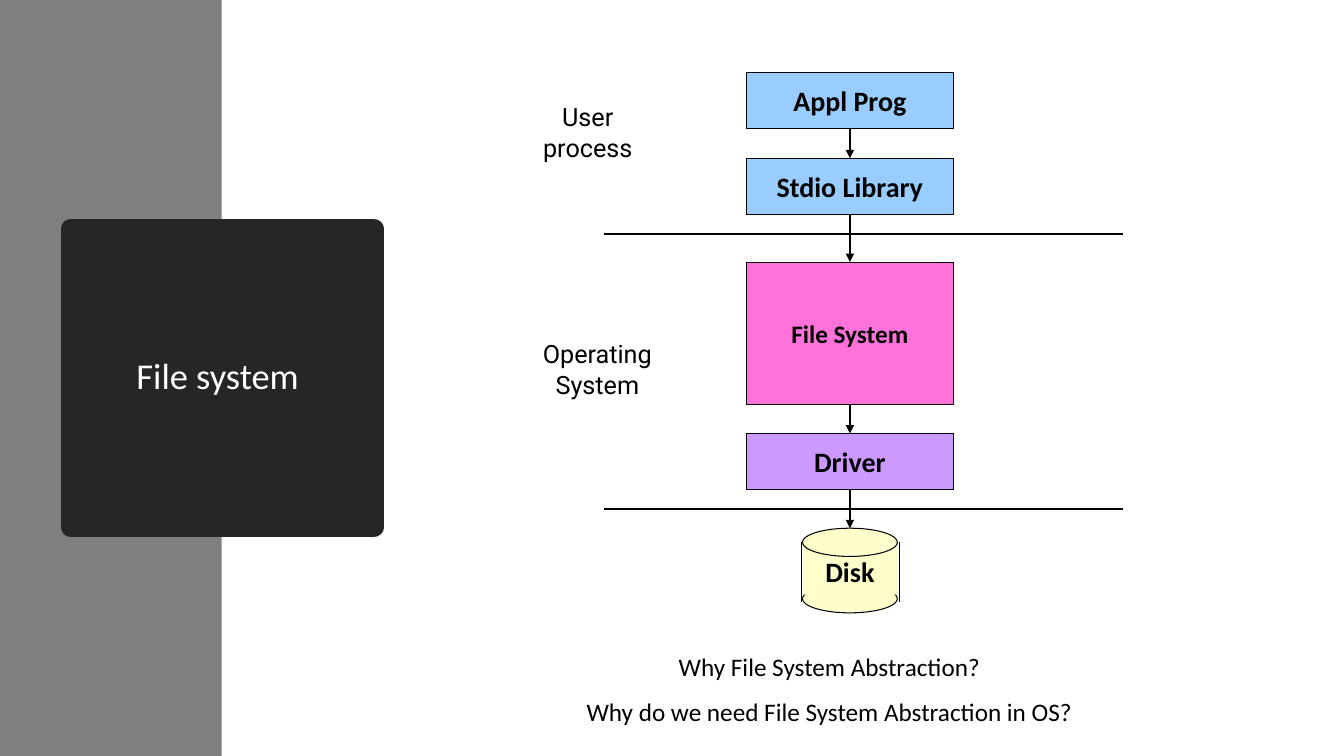
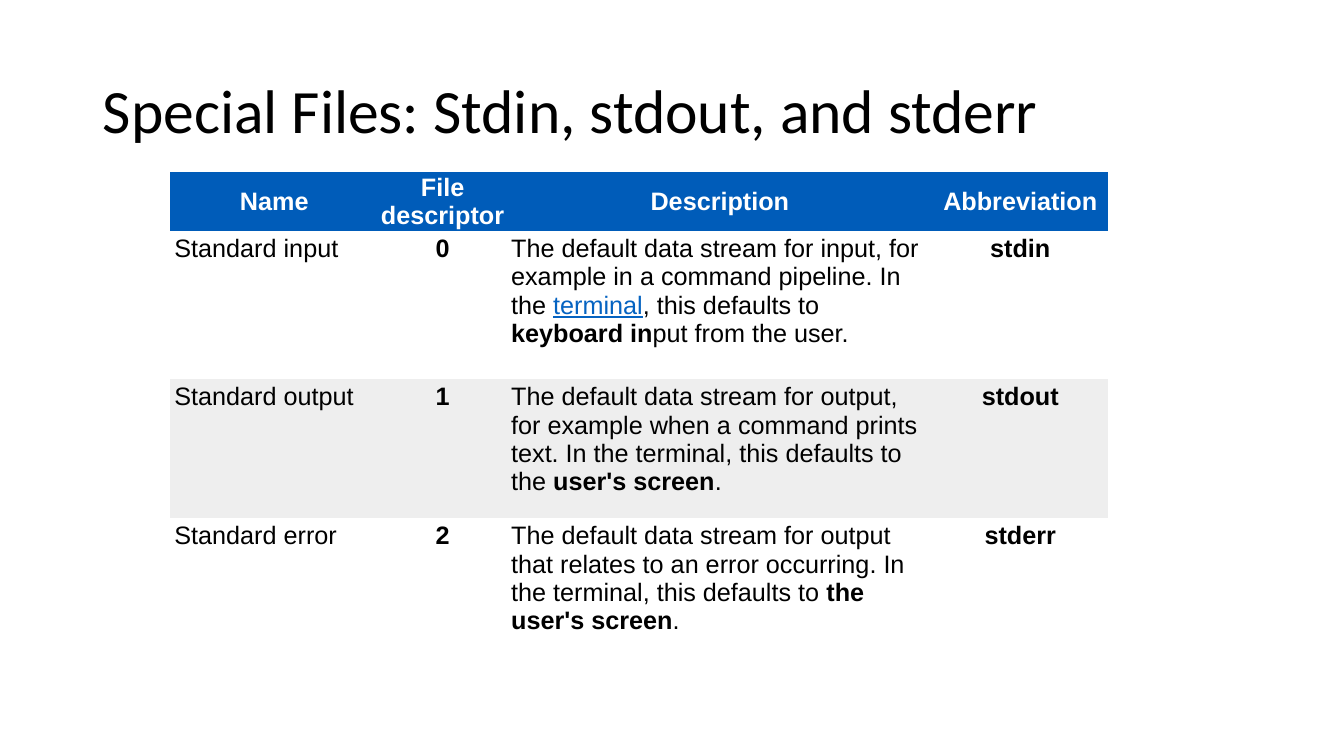
from lxml.etree import SubElement
from pptx import Presentation
from pptx.dml.color import RGBColor
from pptx.enum.shapes import MSO_CONNECTOR, MSO_SHAPE
from pptx.enum.text import MSO_ANCHOR, MSO_AUTO_SIZE, PP_ALIGN
from pptx.oxml.ns import qn
from pptx.util import Inches, Pt

BLACK, WHITE = "000000", "FFFFFF"
BAND, DARK = "7F7F7F", "262626"
BLUE, PINK, PURPLE, CREAM = "99CCFF", "FE72D9", "CC99FF", "FFFFCC"
HEADER, STRIPE, LINK = "005CB9", "EEEEEE", "0563C1"
NO_TABLE_STYLE = "{2D5ABB26-0587-4C30-8999-92F81FD0307C}"
CENTER, LEFT = PP_ALIGN.CENTER, PP_ALIGN.LEFT
BOLD = {"bold": True}

BOX_LEFT, BOX_WIDTH, BOX_HEIGHT = 7.4, 2.06, 0.56
AXIS = BOX_LEFT + BOX_WIDTH / 2
DISK_LEFT, DISK_WIDTH, DISK_TOP = 7.96, 0.94, 5.24

LAYERS = [
    ("Appl Prog", 0.72, BOX_HEIGHT, BLUE, 20),
    ("Stdio Library", 1.57, BOX_HEIGHT, BLUE, 20),
    ("File System", 2.6, 1.41, PINK, 18),
    ("Driver", 4.3, BOX_HEIGHT, PURPLE, 20),
]

COLUMN_WIDTHS = [2.06, 1.28, 4.22, 1.74]
ROW_HEIGHTS = [0.58, 1.47, 1.38, 1.22]
HEADINGS = ["Name", "File descriptor", "Description", "Abbreviation"]
STREAMS = [
    ("Standard input", "0", [
        ("The default data stream for input, for example in a command pipeline. In the ", {}),
        ("terminal", {"color": LINK, "underline": True}),
        (", this defaults to ", {}),
        ("keyboard in", BOLD),
        ("put from the user.", {}),
    ], "stdin"),
    ("Standard output", "1", [
        ("The default data stream for output, for example when a command prints text. "
         "In the terminal, this defaults to the ", {}),
        ("user's screen", BOLD),
        (".", {}),
    ], "stdout"),
    ("Standard error", "2", [
        ("The default data stream for output that relates to an error occurring. "
         "In the terminal, this defaults to ", {}),
        ("the user's screen", BOLD),
        (".", {}),
    ], "stderr"),
]


def rgb(color):
    return RGBColor.from_string(color)


def format_run(r, size, font, color, bold=False, underline=False):
    r.font.size = Pt(size)
    r.font.name = font
    r.font.color.rgb = rgb(color)
    r.font.bold = bold
    r.font.underline = underline


def write(tf, *paragraphs, align=CENTER, spacing=None, size=18, font="Calibri",
          color=BLACK, bold=False):
    base = {"size": size, "font": font, "color": color, "bold": bold}
    for i, runs in enumerate(paragraphs):
        p = tf.add_paragraph() if i else tf.paragraphs[0]
        p.alignment = align
        if spacing:
            p.line_spacing = spacing
        if isinstance(runs, str):
            runs = [(runs, {})]
        for text, changes in runs:
            r = p.add_run()
            r.text = text
            format_run(r, **{**base, **changes})


def place(sp, left, top, width, height):
    sp.left, sp.top = Inches(left), Inches(top)
    sp.width, sp.height = Inches(width), Inches(height)


def paint(sp, fill, line=None, weight=0.75):
    sp.fill.solid()
    sp.fill.fore_color.rgb = rgb(fill)
    if line:
        sp.line.color.rgb = rgb(line)
        sp.line.width = Pt(weight)
    else:
        sp.line.fill.background()


def add_title(s, text, box, **fmt):
    sp = s.shapes.title
    place(sp, *box)
    tf = sp.text_frame
    tf.auto_size = MSO_AUTO_SIZE.NONE
    tf.vertical_anchor = MSO_ANCHOR.MIDDLE
    write(tf, text, spacing=0.9, **fmt)
    return sp


def add_box(s, kind, box, fill, line=None, text=None, size=20):
    sp = s.shapes.add_shape(kind, *map(Inches, box))
    sp.shadow.inherit = False
    paint(sp, fill, line)
    if text:
        tf = sp.text_frame
        tf.word_wrap = False
        tf.vertical_anchor = MSO_ANCHOR.MIDDLE
        write(tf, text, size=size, bold=True)
    return sp


def add_text(s, box, *paragraphs, **fmt):
    tf = s.shapes.add_textbox(*map(Inches, box)).text_frame
    tf.word_wrap = True
    write(tf, *paragraphs, **fmt)


def add_line(s, start, end, weight, arrow=False):
    sp = s.shapes.add_connector(MSO_CONNECTOR.STRAIGHT, *map(Inches, start + end))
    sp.line.color.rgb = rgb(BLACK)
    sp.line.width = Pt(weight)
    spPr = sp._element.spPr
    if arrow:
        SubElement(spPr.find(qn("a:ln")), qn("a:tailEnd"), type="triangle")
    SubElement(spPr, qn("a:effectLst"))


def add_disk(s):
    def oval(top):
        add_box(s, MSO_SHAPE.OVAL, (DISK_LEFT, top, DISK_WIDTH, 0.28), CREAM, BLACK)

    oval(DISK_TOP + 0.56)
    add_box(s, MSO_SHAPE.RECTANGLE, (DISK_LEFT, DISK_TOP + 0.19, DISK_WIDTH, 0.47),
            CREAM, text="Disk")
    oval(DISK_TOP)
    for x in (7.95, 8.92):
        add_line(s, (x, 5.38), (x, 5.97), 0.75)


def fill_cell(cell, content, fill, margin, anchor, **fmt):
    cell.fill.solid()
    cell.fill.fore_color.rgb = rgb(fill)
    cell.margin_left = cell.margin_right = Inches(margin)
    cell.margin_top = cell.margin_bottom = Inches(margin)
    cell.vertical_anchor = anchor
    write(cell.text_frame, content, font="Arial", **fmt)


def add_stream_table(s):
    frame = s.shapes.add_table(len(ROW_HEIGHTS), len(COLUMN_WIDTHS), Inches(1.69), Inches(1.71),
                               Inches(sum(COLUMN_WIDTHS)), Inches(sum(ROW_HEIGHTS)))
    table = frame.table
    table.horz_banding = False
    table._tbl.tblPr.find(qn("a:tableStyleId")).text = NO_TABLE_STYLE
    for column, width in zip(table.columns, COLUMN_WIDTHS):
        column.width = Inches(width)
    for row, height in zip(table.rows, ROW_HEIGHTS):
        row.height = Inches(height)
    for j, heading in enumerate(HEADINGS):
        fill_cell(table.cell(0, j), heading, HEADER, 0.01, MSO_ANCHOR.MIDDLE,
                  color=WHITE, bold=True)
    for i, stream in enumerate(STREAMS, 1):
        for j, content in enumerate(stream):
            centered = j % 2 == 1
            fill_cell(table.cell(i, j), content, WHITE if i % 2 else STRIPE, 0.04,
                      MSO_ANCHOR.TOP, align=CENTER if centered else LEFT, bold=centered)


def build_file_system(s):
    band = add_box(s, MSO_SHAPE.RECTANGLE, (0, 0, 2.2, 7.5), BAND)
    s.shapes._spTree.insert(2, band._element)
    title = add_title(s, "File system", (0.7, 2.27, 3.01, 2.96), size=26, color=WHITE)
    title.text_frame.margin_right = Inches(0.19)
    paint(title, DARK, DARK, 13.75)

    add_disk(s)
    for y in (2.32, 5.05):
        add_line(s, (5.99, y), (11.14, y), 1.5)
    for name, top, height, fill, size in LAYERS:
        add_box(s, MSO_SHAPE.RECTANGLE, (BOX_LEFT, top, BOX_WIDTH, height),
                fill, BLACK, name, size)
    next_tops = [layer[1] for layer in LAYERS[1:]] + [DISK_TOP]
    for (_, top, height, _, _), next_top in zip(LAYERS, next_tops):
        add_line(s, (AXIS, top + height), (AXIS, next_top), 1, arrow=True)

    add_text(s, (5.06, 0.96, 1.54, 1.02), "User", "process", font="Roboto")
    add_text(s, (4.99, 3.31, 1.87, 1.02), "Operating", "System", font="Roboto")
    add_text(s, (4.49, 6.26, 7.47, 1.1), "Why File System Abstraction?",
             "Why do we need File System Abstraction in OS?", spacing=1.5)


def build_special_files(s):
    add_title(s, "Special Files: Stdin, stdout, and stderr", (0.92, 0.4, 11.5, 1.45),
              size=44, align=LEFT)
    add_stream_table(s)


def main():
    prs = Presentation()
    prs.slide_width, prs.slide_height = Inches(13.33), Inches(7.5)
    for build in (build_file_system, build_special_files):
        build(prs.slides.add_slide(prs.slide_layouts[5]))
    prs.save("out.pptx")


if __name__ == "__main__":
    main()
